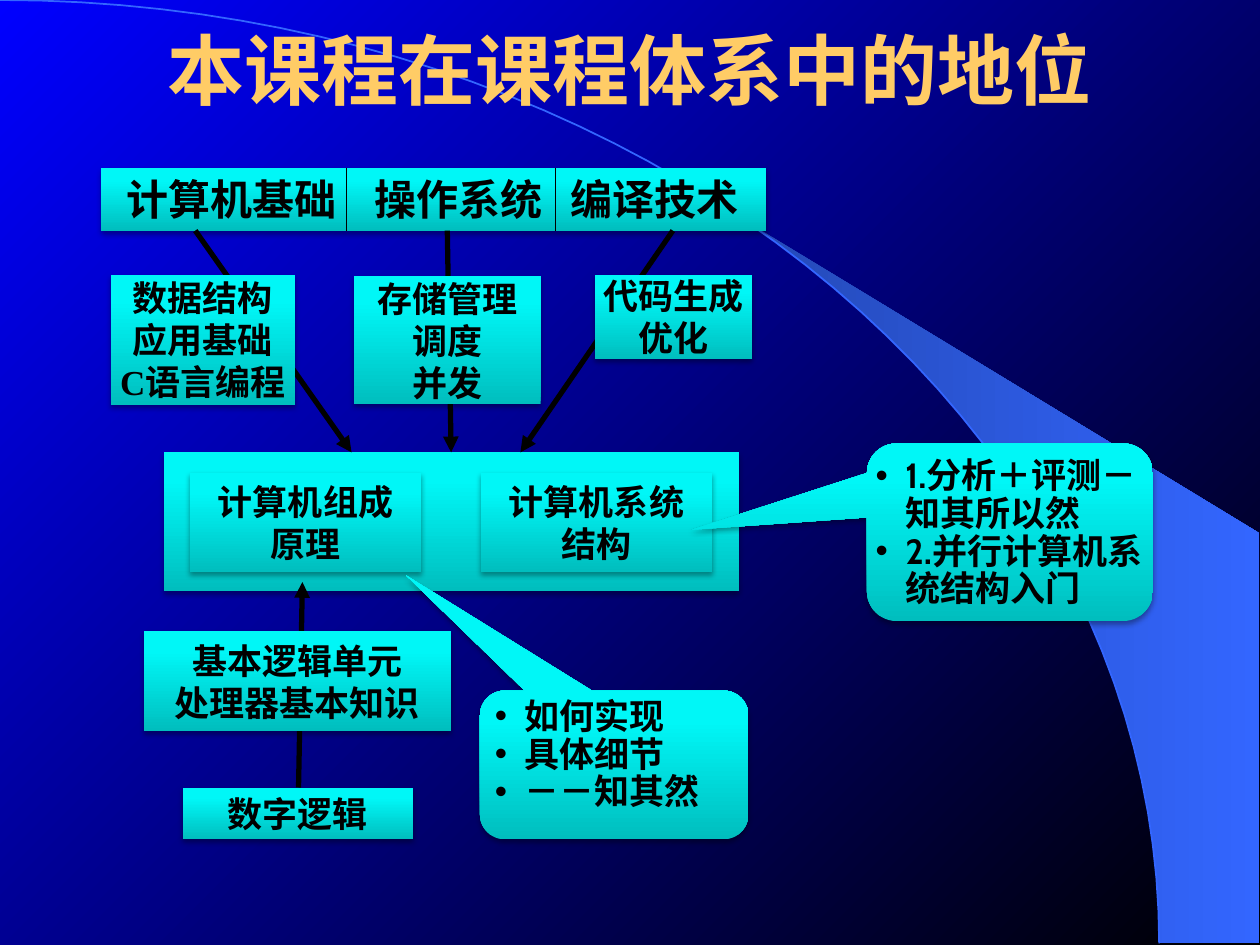
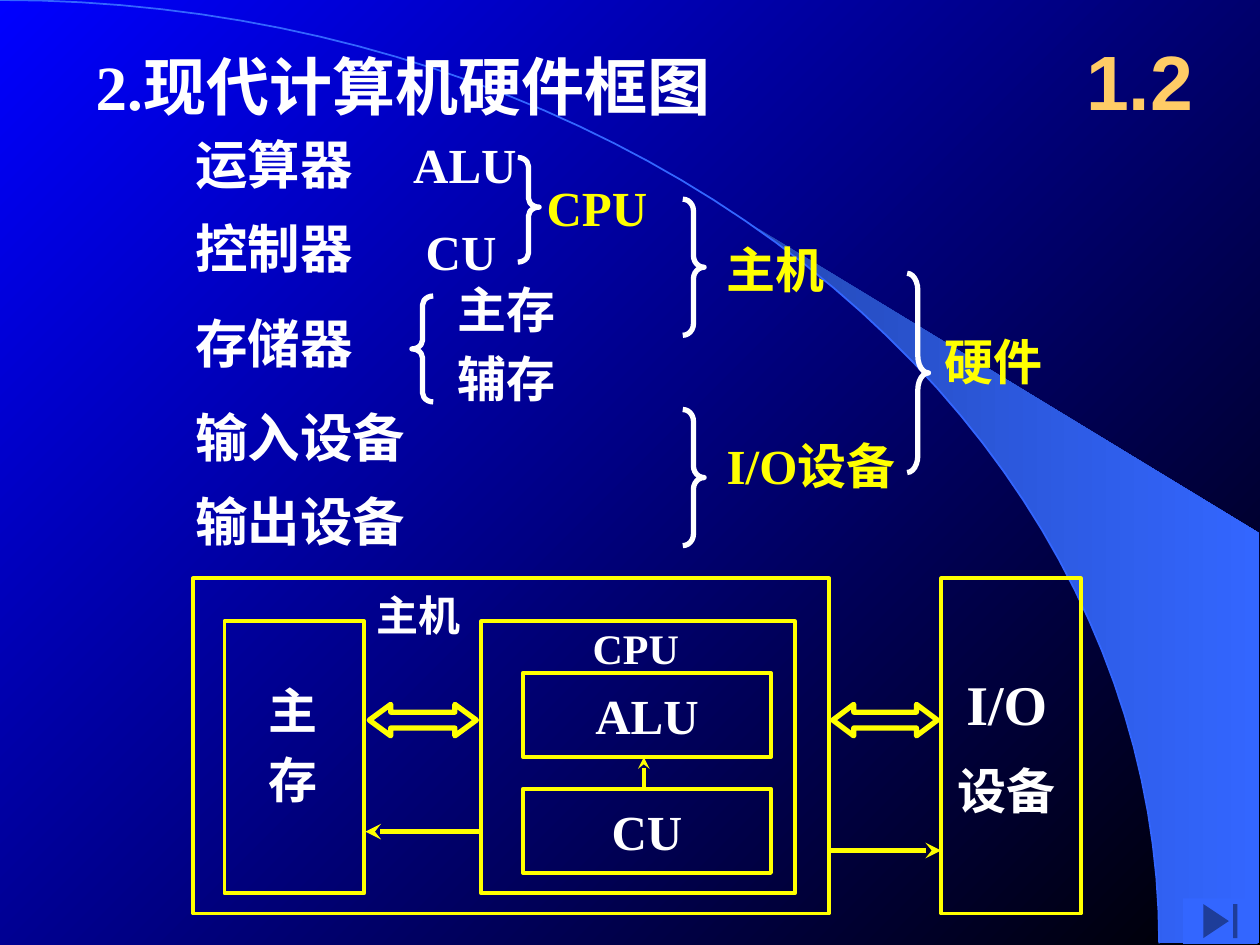
from math import cos, radians, sin

from lxml.etree import SubElement
from pptx import Presentation
from pptx.dml.color import RGBColor
from pptx.enum.shapes import MSO_CONNECTOR, MSO_SHAPE
from pptx.enum.text import MSO_ANCHOR, MSO_AUTO_SIZE, PP_ALIGN
from pptx.oxml.ns import qn
from pptx.util import Pt

BLUE = RGBColor(0x00, 0x00, 0xFF)
BLACK = RGBColor(0x00, 0x00, 0x00)
WHITE = RGBColor(0xFF, 0xFF, 0xFF)
YELLOW = RGBColor(0xFF, 0xFF, 0x00)
GOLD = RGBColor(0xFF, 0xCC, 0x66)
BAND_DARK = RGBColor(0x24, 0x49, 0xB6)
BAND_LIGHT = RGBColor(0x33, 0x66, 0xFF)
TEAL = RGBColor(0x00, 0xBE, 0xBE)
CYAN = RGBColor(0x00, 0xF7, 0xF7)
SERIF, SANS, CJK, LIST = "Times New Roman", "Arial", "Noto Sans CJK SC", "Cabin"


def add_text(sp, text, font=SERIF, size=20, color=BLACK, align=PP_ALIGN.CENTER,
             anchor=MSO_ANCHOR.MIDDLE, margins=(7.2, 3.6, 7.2, 3.6), wrap=True,
             before=0, spacing=None, bullet=False):
    """Write bold text into a shape, one paragraph per line."""
    tf = sp.text_frame
    tf.auto_size = MSO_AUTO_SIZE.NONE
    tf.word_wrap = wrap
    tf.vertical_anchor = anchor
    tf.margin_left, tf.margin_top, tf.margin_right, tf.margin_bottom = map(Pt, margins)
    for i, line in enumerate(text.split("\n")):
        p = tf.add_paragraph() if i else tf.paragraphs[0]
        p.alignment = align
        p.space_before = Pt(before)
        if spacing:
            p.line_spacing = spacing
        if bullet:
            pPr = p._p.get_or_add_pPr()
            pPr.set("marL", str(Pt(17)))
            pPr.set("indent", str(-Pt(17)))
            SubElement(pPr, qn("a:buFont"), typeface="Arial")
            SubElement(pPr, qn("a:buChar"), char="•")
        r = p.add_run()
        r.text = line
        r.font.name, r.font.size, r.font.bold = font, Pt(size), True
        r.font.color.rgb = color
        SubElement(r._r.get_or_add_rPr(), qn("a:ea"), typeface=CJK)


def add_box(s, kind, box, line=None, width=2.25, adj=()):
    """Add an unfilled preset shape, outlined when a line colour is given."""
    sp = s.shapes.add_shape(kind, *map(Pt, box))
    sp.shadow.inherit = False
    sp.fill.background()
    if line is None:
        sp.line.fill.background()
    else:
        sp.line.color.rgb = line
        sp.line.width = Pt(width)
    for i, value in enumerate(adj):
        sp.adjustments[i] = value
    return sp


prs = Presentation()
prs.slide_width, prs.slide_height = Pt(720), Pt(540)
master = prs.slide_master
s1, s2 = [prs.slides.add_slide(prs.slide_layouts[5]) for _ in range(2)]

# Master: gradient background, blue band and the arc along its edge
gradients = [(master.background.fill, BLUE, BLACK, 315, 1)]
arc = [(662.4 * sin(radians(a)), 539 * (1 - cos(radians(a)))) for a in range(0, 91, 2)]
band = arc[20:] + [(719.3, 539), (719.3, 304.6)]
for i, (points, closed) in enumerate([(band, True), (arc, False)]):
    points = [(Pt(x), Pt(y)) for x, y in points]
    outline = s1.shapes.build_freeform(*points[0])
    outline.add_line_segments(points[1:], close=closed)
    sp = outline.convert_to_shape()
    sp.shadow.inherit = False
    if closed:
        sp.line.fill.background()
        gradients.append((sp.fill, BAND_DARK, BAND_LIGHT, 0, 1))
    else:
        sp.fill.background()
        sp.line.color.rgb = BAND_LIGHT
        sp.line.width = Pt(1)
    master.shapes._spTree.insert(2 + i, sp._element)

# Titles
for s, text, box, style in [
    (s1, "本课程在课程体系中的地位", (54, 0, 612, 78.5),
     dict(font=SANS, size=44, color=GOLD)),
    (s2, "2.现代计算机硬件框图", (47.5, 23.8, 456.5, 50.4),
     dict(size=36, color=WHITE, align=PP_ALIGN.LEFT)),
]:
    title = s.shapes.title
    title.left, title.top, title.width, title.height = map(Pt, box)
    add_text(title, text, **style)

# Slide 1: course header and core course panel lie under the arrows
teal = [add_box(s1, MSO_SHAPE.FLOWCHART_PROCESS, (93.6, 258.5, 329, 79.2)),
        add_box(s1, MSO_SHAPE.RECTANGLE, (57.6, 95.8, 380.2, 36))]
for text, centre in [("计算机基础", 132.5), ("操作系统", 262), ("编译技术", 374.3)]:
    tb = s1.shapes.add_textbox(Pt(centre - 65), Pt(95.8), Pt(130), Pt(36))
    add_text(tb, text, size=24, margins=(0, 0, 0, 0))

# Lines and arrows of both slides
for s, color, width, head, ends in [
    (s1, BLACK, 3, "triangle", (384.5, 131.8, 297.4, 258.5)),
    (s1, BLACK, 3, "triangle", (255.6, 131.8, 257.8, 258.5)),
    (s1, BLACK, 3, "triangle", (111.6, 131.8, 200.9, 258.5)),
    (s1, BLACK, 3, "triangle", (170.6, 450, 172.8, 332.6)),
    (s1, BLACK, 1, None, (198, 95.8, 198, 131.8)),
    (s1, BLACK, 1, None, (317.5, 95.8, 317.5, 131.8)),
    (s2, YELLOW, 2.25, "stealth", (367.9, 450.7, 367.9, 432.7)),
    (s2, YELLOW, 3, "stealth", (473.8, 486, 537.8, 486)),
    (s2, YELLOW, 3, "stealth", (274.3, 475.2, 208.8, 475.2)),
]:
    cx = s.shapes.add_connector(MSO_CONNECTOR.STRAIGHT, *map(Pt, ends))
    cx.line.color.rgb = color
    cx.line.width = Pt(width)
    if head:
        SubElement(cx.line._get_or_add_ln(), qn("a:tailEnd"), type=head)
    SubElement(cx._element.spPr, qn("a:effectLst"))

# Slide 1: topics and courses
for text, box in [
    ("数据结构\n应用基础\nC语言编程", (63.4, 157, 105.1, 74.2)),
    ("存储管理\n调度\n并发", (202.3, 157.7, 106.6, 73.4)),
    ("代码生成\n优化", (339.8, 157, 90, 48.2)),
    ("计算机系统\n结构", (275, 270, 131.8, 56.9)),
    ("计算机组成\n原理", (108.7, 270, 131.8, 56.9)),
    ("基本逻辑单元\n处理器基本知识", (82.1, 360.7, 175.7, 56.9)),
    ("数字逻辑", (104.4, 450, 131.8, 29.5)),
]:
    sp = add_box(s1, MSO_SHAPE.RECTANGLE, box)
    add_text(sp, text, margins=(0, 0, 0, 0), wrap=False)
    teal.append(sp)

# Slide 1: callouts with lists
for text, box, adj, margins in [
    ("如何实现\n具体细节\n－－知其然", (274.3, 394.6, 153.4, 85),
     (-0.776, -1.275, 0.167), (4.3, 0.7, 4.3, 0.7)),
    ("1.分析＋评测－知其所以然\n2.并行计算机系统结构入门", (495.4, 253.4, 163.4, 101.5),
     (-1.114, -0.014, 0.167), (0, 3.6, 0, 0.7)),
]:
    sp = add_box(s1, MSO_SHAPE.ROUNDED_RECTANGULAR_CALLOUT, box, adj=adj)
    add_text(sp, text, font=LIST, align=PP_ALIGN.LEFT, anchor=MSO_ANCHOR.TOP,
             margins=margins, spacing=0.9, bullet=True)
    teal.append(sp)

for sp in teal:
    gradients.append((sp.fill, TEAL, CYAN, 90, 0.8))
    effects = sp._element.spPr.find(qn("a:effectLst"))
    shadow = SubElement(effects, qn("a:outerShdw"), blurRad=str(Pt(3.1)),
                        dist=str(Pt(1.8)), dir="5400000", rotWithShape="0")
    shade = SubElement(shadow, qn("a:srgbClr"), val=str(BLACK))
    SubElement(shade, qn("a:alpha"), val="35000")

for fill, first, last, angle, end in gradients:
    fill.gradient()
    fill.gradient_angle = angle
    for stop, color, position in zip(fill.gradient_stops, (first, last), (0, end)):
        stop.color.rgb = color
        stop.position = position

# Slide 2: hardware units, their parts and the groups they form
left_top = dict(align=PP_ALIGN.LEFT, anchor=MSO_ANCHOR.TOP)
for text, top in [("运算器", 72), ("控制器", 120.2), ("存储器", 174.2),
                  ("输入设备", 228.2), ("输出设备", 275.8)]:
    tb = s2.shapes.add_textbox(Pt(104.4), Pt(top), Pt(150), Pt(43.2))
    add_text(tb, text, font=CJK, size=30, color=WHITE, **left_top)

for text, box, font, color in [
    ("ALU", (229, 73.4, 76, 41), SERIF, WHITE),
    ("CU", (236.2, 123.1, 58, 41), SERIF, WHITE),
    ("主存\n辅存", (254.2, 156.2, 76, 81.4), CJK, WHITE),
    ("CPU", (305.3, 97.9, 76, 41), SERIF, YELLOW),
    ("主机", (408.2, 133.2, 76, 41), CJK, YELLOW),
    ("I/O设备", (408.2, 245.5, 139, 41), SERIF, YELLOW),
    ("硬件", (532.8, 185.8, 76, 41), CJK, YELLOW),
]:
    tb = s2.shapes.add_textbox(*map(Pt, box))
    add_text(tb, text, font=font, size=28, color=color, before=5.6, **left_top)

for kind, left, top, height, adj in [
    (MSO_SHAPE.LEFT_BRACE, 235.4, 169.2, 60.5, (0.418, 0.5)),
    (MSO_SHAPE.RIGHT_BRACE, 295.9, 90, 59.8, (0.417, 0.475)),
    (MSO_SHAPE.RIGHT_BRACE, 390.2, 113.8, 77.8, (0.542, 0.5)),
    (MSO_SHAPE.RIGHT_BRACE, 390.2, 234, 77.8, (0.542, 0.5)),
    (MSO_SHAPE.RIGHT_BRACE, 518.4, 156.2, 113.8, (0.792, 0.5)),
]:
    add_box(s2, kind, (left, top, 12.2, height), WHITE, 3, adj)

tb = s2.shapes.add_textbox(Pt(606.2), Pt(12.2), Pt(90), Pt(66.2))
add_text(tb, "1.2", font=SANS, size=44, color=GOLD)

# Slide 2: block diagram
for box in [(110.2, 330.5, 363.6, 191.5), (537.8, 330.5, 79.9, 191.5),
            (275, 355, 179.3, 155.5), (128.2, 355, 79.9, 155.5)]:
    add_box(s2, MSO_SHAPE.RECTANGLE, box, YELLOW, 2.13)
for text, top in [("ALU", 384.5), ("CU", 450.7)]:
    sp = add_box(s2, MSO_SHAPE.RECTANGLE, (298.8, top, 141.8, 48.2), YELLOW, 2.13)
    add_text(sp, text, size=28, color=WHITE)
for left, width, head in [(211, 61.2, 0.683), (475.9, 59.8, 0.667)]:
    add_box(s2, MSO_SHAPE.LEFT_RIGHT_ARROW, (left, 402.5, width, 18), YELLOW, 3, (0.5, head))

for text, box, font, size, before in [
    ("主机", (213, 337, 52, 28.8), CJK, 24, 0),
    ("CPU", (333.3, 355.7, 60, 28.8), SERIF, 24, 0),
    ("主\n存", (146.2, 388.8, 42.5, 77.8), CJK, 28, 5.6),
    ("I/O\n设备", (536.4, 382.3, 77.8, 92.9), SERIF, 32, 14),
]:
    tb = s2.shapes.add_textbox(*map(Pt, box))
    add_text(tb, text, font=font, size=size, color=WHITE, before=before,
             anchor=MSO_ANCHOR.TOP, margins=(0, 0, 0, 0))
tb.text_frame.paragraphs[1].runs[0].font.size = Pt(28)

button = add_box(s2, MSO_SHAPE.ACTION_BUTTON_END, (676.1, 513.4, 42.5, 25.9))
button.fill.solid()
button.fill.fore_color.rgb = BAND_LIGHT

prs.save("out.pptx")
